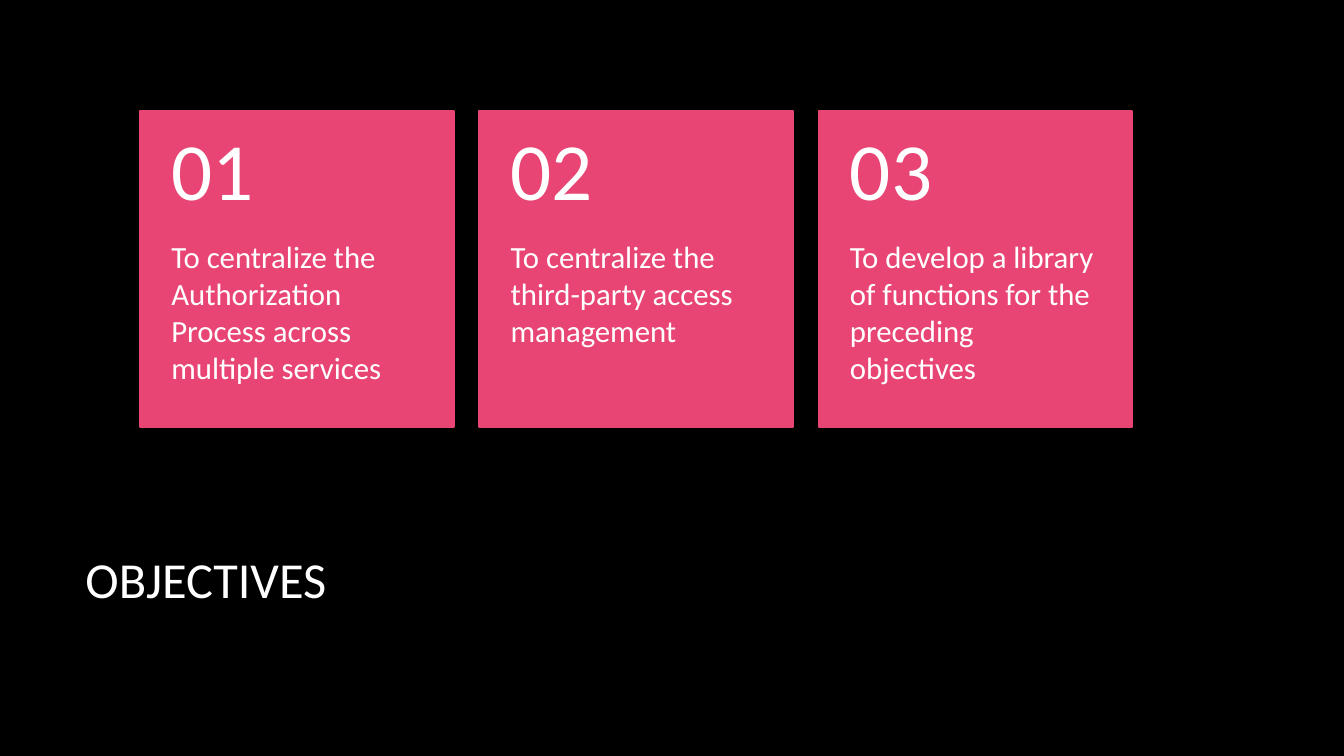
"""Build the objectives slide with three numbered cards."""
from dataclasses import dataclass

from pptx import Presentation
from pptx.dml.color import RGBColor
from pptx.enum.shapes import MSO_SHAPE
from pptx.enum.text import MSO_ANCHOR, PP_ALIGN
from pptx.slide import Slide
from pptx.text.text import TextFrame
from pptx.util import Cm, Pt


@dataclass(frozen=True)
class Theme:
    font: str = "Calibri"
    background: RGBColor = RGBColor(0x00, 0x00, 0x00)
    card: RGBColor = RGBColor(0xE8, 0x45, 0x74)
    text: RGBColor = RGBColor(0xFF, 0xFF, 0xFF)
    title_size: int = 36
    number_size: int = 58
    body_size: int = 22


@dataclass(frozen=True)
class TextBlock:
    top: float
    height: float
    size: int
    anchor: MSO_ANCHOR
    inset_top: float
    inset_bottom: float
    line_spacing: float


THEME = Theme()
CARD_LEFT, CARD_TOP, CARD_WIDTH, CARD_HEIGHT = 3.53, 2.79, 7.9, 7.98
CARD_PITCH = 8.55
SIDE_INSET = 0.79
NUMBER = TextBlock(CARD_TOP, 3.2, THEME.number_size, MSO_ANCHOR.MIDDLE, 0.46, 0.46, 0.9)
BODY = TextBlock(
    CARD_TOP + NUMBER.height, CARD_HEIGHT - NUMBER.height,
    THEME.body_size, MSO_ANCHOR.TOP, 0, 0.91, 1.0,
)
OBJECTIVES = (
    "To centralize the Authorization Process across multiple services",
    "To centralize the third-party access management",
    "To develop a library of functions for the preceding objectives",
)


def write_text(frame: TextFrame, text: str, size: int, anchor: MSO_ANCHOR) -> None:
    frame.text = text
    frame.word_wrap = True
    frame.vertical_anchor = anchor
    paragraph = frame.paragraphs[0]
    paragraph.alignment = PP_ALIGN.LEFT
    paragraph.font.name = THEME.font
    paragraph.font.size = Pt(size)
    paragraph.font.color.rgb = THEME.text


def add_block(slide: Slide, left: float, text: str, block: TextBlock) -> None:
    box = slide.shapes.add_textbox(
        Cm(left), Cm(block.top), Cm(CARD_WIDTH), Cm(block.height)
    )
    frame = box.text_frame
    write_text(frame, text, block.size, block.anchor)
    frame.margin_left = frame.margin_right = Cm(SIDE_INSET)
    frame.margin_top = Cm(block.inset_top)
    frame.margin_bottom = Cm(block.inset_bottom)
    frame.paragraphs[0].line_spacing = block.line_spacing


def add_card(slide: Slide, index: int, objective: str) -> None:
    left = CARD_LEFT + index * CARD_PITCH
    card = slide.shapes.add_shape(
        MSO_SHAPE.RECTANGLE, Cm(left), Cm(CARD_TOP), Cm(CARD_WIDTH), Cm(CARD_HEIGHT)
    )
    card.shadow.inherit = False
    card.fill.solid()
    card.fill.fore_color.rgb = THEME.card
    card.line.color.rgb = THEME.card
    card.line.width = Pt(1.5)
    add_block(slide, left, objective, BODY)
    add_block(slide, left, f"{index + 1:02d}", NUMBER)


def add_title(slide: Slide, text: str) -> None:
    title = slide.shapes.title
    title.left, title.top = Cm(1.9), Cm(12.47)
    title.width, title.height = Cm(23.7), Cm(4.19)
    write_text(title.text_frame, text, THEME.title_size, MSO_ANCHOR.MIDDLE)


def main() -> None:
    presentation = Presentation()
    presentation.slide_width, presentation.slide_height = Cm(33.87), Cm(19.05)
    slide = presentation.slides.add_slide(
        presentation.slide_layouts.get_by_name("Title Only")
    )
    slide.background.fill.solid()
    slide.background.fill.fore_color.rgb = THEME.background
    add_title(slide, "OBJECTIVES")
    for index, objective in enumerate(OBJECTIVES):
        add_card(slide, index, objective)
    presentation.save("out.pptx")


if __name__ == "__main__":
    main()
